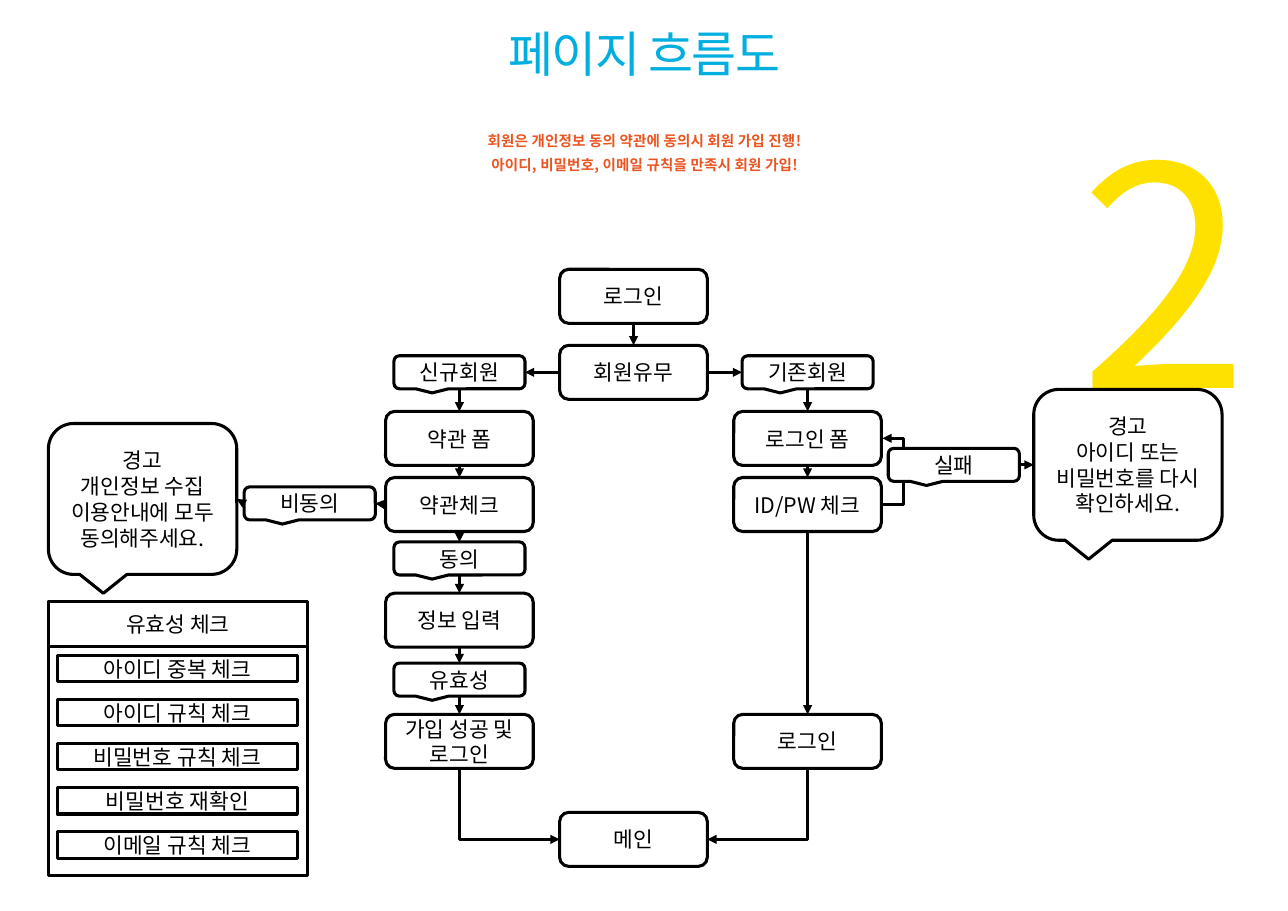
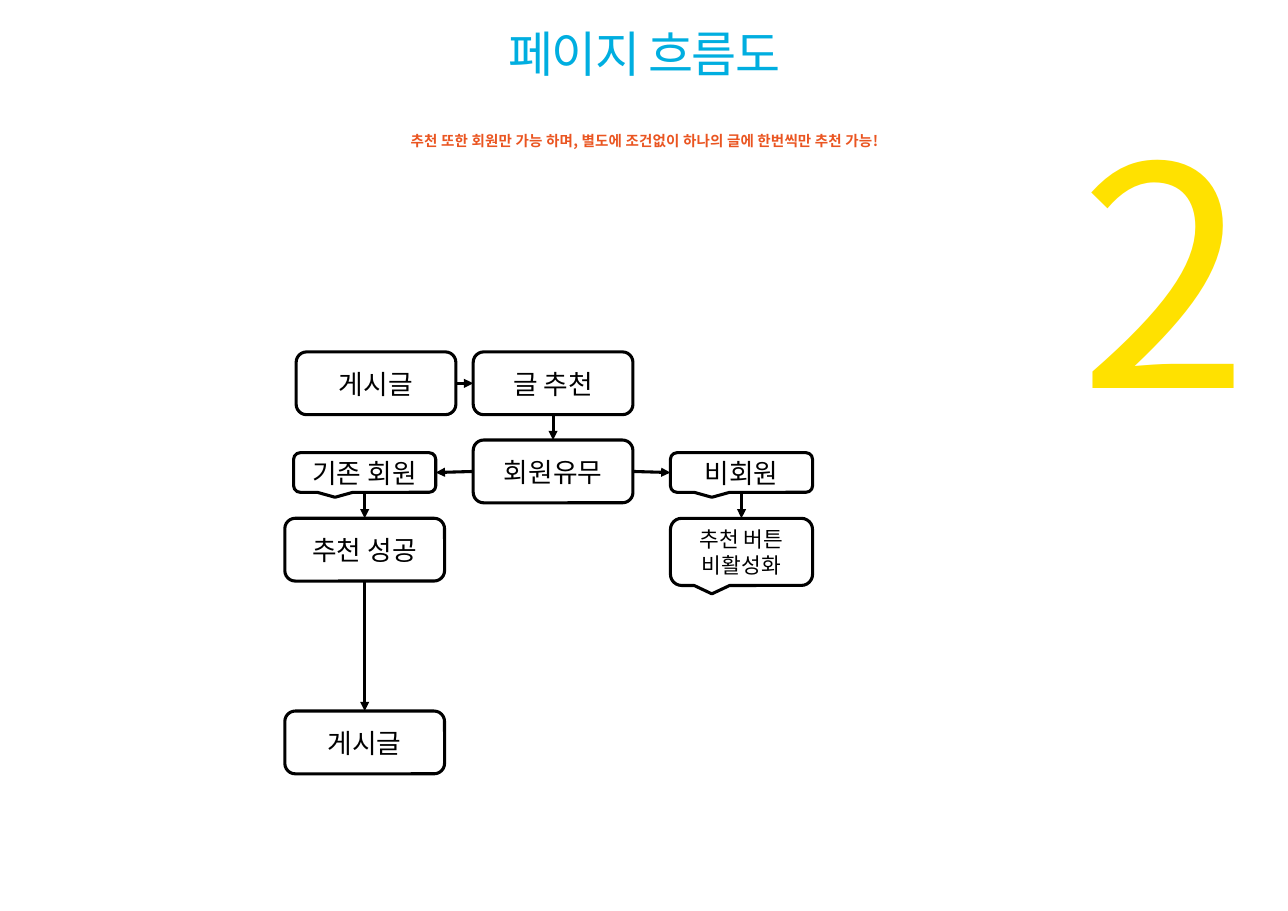
from dataclasses import dataclass
from typing import Optional, Union

from lxml.etree import SubElement
from pptx import Presentation
from pptx.dml.color import RGBColor
from pptx.enum.shapes import MSO_CONNECTOR as Route, MSO_SHAPE as Preset
from pptx.enum.text import MSO_ANCHOR as Anchor, MSO_AUTO_SIZE as AutoSize, PP_ALIGN as Align
from pptx.oxml.ns import qn
from pptx.util import Inches, Pt


@dataclass(frozen=True)
class Theme:
    font: str = "Noto Sans CJK KR"
    blue: str = "00AEE0"
    orange: str = "EA5521"
    yellow: str = "FFE100"
    ink: str = "000000"
    paper: str = "FFFFFF"
    title_size: float = 32
    note_size: float = 9.5
    number_size: float = 200
    step_size: float = 14
    large_step_size: float = 17.5
    line_width: float = 2


@dataclass(frozen=True)
class Box:
    left: float
    top: float
    width: float
    height: float


@dataclass(frozen=True)
class TextStyle:
    size: float
    color: str
    bold: bool = False
    tracking: int = 0


@dataclass(frozen=True)
class Heading:
    box: Box
    style: TextStyle
    leading: float
    align: Align


@dataclass(frozen=True)
class Kind:
    preset: Preset
    width: float
    height: float
    size: float


@dataclass(frozen=True)
class Step:
    key: str
    kind: Kind
    column: float
    row: float
    text: str


@dataclass(frozen=True)
class Link:
    start: str
    start_side: int
    end: str
    end_side: int
    bend: Optional[float] = None
    end_shift: float = 0


@dataclass(frozen=True)
class Flow:
    center: float
    top: float
    column_width: float
    sequence: tuple[Union[Step, Link], ...]
    row_height: float = 0.1


THEME = Theme()
SLIDE_WIDTH, SLIDE_HEIGHT = 11.69, 8.27
TOP, LEFT, BOTTOM, RIGHT = range(4)
TITLE = Heading(Box(2.21, 0.33, 7.28, 0.82),
                TextStyle(THEME.title_size, THEME.blue, tracking=-100), 30, Align.CENTER)
NOTE = Heading(Box(2.21, 1.16, 7.28, 0.79),
               TextStyle(THEME.note_size, THEME.orange, True, 10), 14, Align.CENTER)
NUMBER = Heading(Box(9.8, 1.3, 1.46, 2.76),
                 TextStyle(THEME.number_size, THEME.yellow, tracking=-100), 200, Align.LEFT)

PAGE = Kind(Preset.ROUNDED_RECTANGLE, 1.34, 0.49, THEME.step_size)
CASE = Kind(Preset.ROUNDED_RECTANGULAR_CALLOUT, 1.19, 0.3, THEME.step_size)
WARNING = Kind(Preset.ROUNDED_RECTANGULAR_CALLOUT, 1.71, 1.37, THEME.step_size)
LARGE_PAGE = Kind(Preset.ROUNDED_RECTANGLE, 1.45, 0.57, THEME.large_step_size)
LARGE_CASE = Kind(Preset.ROUNDED_RECTANGULAR_CALLOUT, 1.29, 0.36, THEME.large_step_size)
RESULT = Kind(Preset.ROUNDED_RECTANGULAR_CALLOUT, 1.29, 0.61, THEME.step_size)


def down(*keys: str) -> tuple[Link, ...]:
    return tuple(Link(a, BOTTOM, b, TOP) for a, b in zip(keys, keys[1:]))


LOGIN_FLOW = Flow(5.75, 2.69, 1.58, (
    Step("login", PAGE, 0, 0, "로그인"),
    Step("member", PAGE, 0, 6.9, "회원유무"),
    Step("new", CASE, -1, 6.9, "신규회원"),
    Step("existing", CASE, 1, 6.9, "기존회원"),
    Step("terms", PAGE, -1, 12.9, "약관 폼"),
    Step("terms_check", PAGE, -1, 18.9, "약관체크"),
    Step("agree", CASE, -1, 23.8, "동의"),
    Step("details", PAGE, -1, 29.4, "정보 입력"),
    Step("valid", CASE, -1, 34.8, "유효성"),
    Step("joined", PAGE, -1, 40.4, "가입 성공 및 로그인"),
    Step("form", PAGE, 1, 12.9, "로그인 폼"),
    Step("id_check", PAGE, 1, 18.9, "ID/PW 체크"),
    Step("logged_in", PAGE, 1, 40.4, "로그인"),
    Step("main", PAGE, 0, 49.3, "메인"),
    Step("refuse", CASE, -1.86, 18.8, "비동의"),
    Step("terms_warning", WARNING, -2.82, 18.4, "경고\n개인정보 수집 이용안내에 모두 동의해주세요."),
    Step("id_warning", WARNING, 2.84, 15.3, "경고\n아이디 또는 비밀번호를 다시 확인하세요."),
    *down("login", "member"),
    *down("new", "terms", "terms_check", "agree", "details", "valid", "joined"),
    *down("existing", "form", "id_check", "logged_in"),
    Link("member", LEFT, "new", RIGHT),
    Link("member", RIGHT, "existing", LEFT),
    Link("terms_check", LEFT, "refuse", RIGHT),
    Link("refuse", LEFT, "terms_warning", RIGHT),
    Link("joined", BOTTOM, "main", LEFT, 0),
    Link("logged_in", BOTTOM, "main", RIGHT, 0),
    Link("id_check", RIGHT, "form", RIGHT, 20, 0.01),
    Step("fail", CASE, 1.84, 15.3, "실패"),
    Link("fail", RIGHT, "id_warning", LEFT),
))

VOTE_FLOW = Flow(5.02, 3.48, 1.71, (
    Step("post", LARGE_PAGE, -0.94, 0, "게시글"),
    Step("vote", LARGE_PAGE, 0, 0, "글 추천"),
    Step("member", LARGE_PAGE, 0, 8, "회원유무"),
    Step("existing", LARGE_CASE, -1, 8.1, "기존 회원"),
    Step("guest", LARGE_CASE, 1, 8.1, "비회원"),
    Step("voted", LARGE_PAGE, -1, 15.1, "추천 성공"),
    Step("disabled", RESULT, 1, 15.3, "추천 버튼 비활성화"),
    Step("back", LARGE_PAGE, -1, 32.6, "게시글"),
    Link("post", RIGHT, "vote", LEFT),
    *down("vote", "member"),
    Link("member", LEFT, "existing", RIGHT),
    Link("member", RIGHT, "guest", LEFT),
    *down("existing", "voted", "back"),
    *down("guest", "disabled"),
))

CHECKS = ("아이디 중복 체크", "아이디 규칙 체크", "비밀번호 규칙 체크", "비밀번호 재확인", "이메일 규칙 체크")


def place(target, box: Box) -> None:
    target.left, target.top = Inches(box.left), Inches(box.top)
    target.width, target.height = Inches(box.width), Inches(box.height)


def style_runs(paragraph, style: TextStyle) -> None:
    for run in paragraph.runs:
        run.font.name = THEME.font
        run.font.size = Pt(style.size)
        run.font.bold = style.bold
        run.font.color.rgb = RGBColor.from_string(style.color)
        properties = run._r.get_or_add_rPr()
        properties.set("spc", str(style.tracking))
        SubElement(properties, qn("a:ea")).set("typeface", THEME.font)


def fill_heading(placeholder, heading: Heading, text: str) -> None:
    place(placeholder, heading.box)
    frame = placeholder.text_frame
    frame.text = text
    frame.word_wrap = True
    frame.auto_size = AutoSize.NONE
    frame.vertical_anchor = Anchor.TOP
    frame.margin_left = frame.margin_right = frame.margin_top = frame.margin_bottom = 0
    for paragraph in frame.paragraphs:
        paragraph.alignment = heading.align
        paragraph.line_spacing = Pt(heading.leading)
        paragraph.space_before = Pt(heading.style.size * 0.2)
        properties = paragraph._p.get_or_add_pPr()
        properties.set("marL", "0")
        properties.set("indent", "0")
        SubElement(properties, qn("a:buNone"))
        style_runs(paragraph, heading.style)


def draw_box(slide, preset: Preset, box: Box, text: str = "", size: float = THEME.step_size):
    shape = slide.shapes.add_shape(preset, 0, 0, 0, 0)
    place(shape, box)
    shape.shadow.inherit = False
    shape.fill.solid()
    shape.fill.fore_color.rgb = RGBColor.from_string(THEME.paper)
    shape.line.color.rgb = RGBColor.from_string(THEME.ink)
    shape.line.width = Pt(THEME.line_width)
    if text:
        frame = shape.text_frame
        frame.text = text
        frame.word_wrap = True
        frame.vertical_anchor = Anchor.MIDDLE
        for paragraph in frame.paragraphs:
            paragraph.alignment = Align.CENTER
            style_runs(paragraph, TextStyle(size, THEME.ink))
    return shape


def draw_step(slide, flow: Flow, step: Step):
    kind = step.kind
    left = flow.center + step.column * flow.column_width - kind.width / 2
    top = flow.top + step.row * flow.row_height - kind.height / 2
    return draw_box(slide, kind.preset, Box(left, top, kind.width, kind.height), step.text, kind.size)


def draw_link(slide, link: Link, steps: dict) -> None:
    route = Route.STRAIGHT if link.bend is None else Route.ELBOW
    arrow = slide.shapes.add_connector(route, 0, 0, 0, 0)
    arrow.begin_connect(steps[link.start], link.start_side)
    arrow.end_connect(steps[link.end], link.end_side)
    arrow.end_x += Inches(link.end_shift)
    arrow.line.color.rgb = RGBColor.from_string(THEME.ink)
    arrow.line.width = Pt(THEME.line_width)
    properties = arrow._element.spPr
    SubElement(properties.find(qn("a:ln")), qn("a:tailEnd")).set("type", "triangle")
    SubElement(properties, qn("a:effectLst"))
    if link.bend is not None:
        geometry = properties.find(qn("a:prstGeom"))
        guides = geometry.find(qn("a:avLst"))
        if guides is None:
            guides = SubElement(geometry, qn("a:avLst"))
        guide = SubElement(guides, qn("a:gd"))
        guide.set("name", "adj1")
        guide.set("fmla", f"val {round(link.bend * 100000)}")


def draw_flow(slide, flow: Flow) -> None:
    steps = {}
    for item in flow.sequence:
        if isinstance(item, Step):
            steps[item.key] = draw_step(slide, flow, item)
        else:
            draw_link(slide, item, steps)


def draw_checklist(slide) -> None:
    panel = Box(0.44, 5.46, 2.35, 2.49)
    draw_box(slide, Preset.RECTANGLE, panel)
    draw_box(slide, Preset.RECTANGLE, Box(panel.left, panel.top, panel.width, 0.41), "유효성 체크")
    for index, check in enumerate(CHECKS):
        row = Box(panel.left + 0.08, panel.top + 0.49 + index * 0.4, 2.18, 0.24)
        draw_box(slide, Preset.RECTANGLE, row, check)


def add_flow_slide(deck, note: str, flow: Flow):
    slide = deck.slides.add_slide(deck.slide_layouts.get_by_name("Two Content"))
    title, notice, number = slide.placeholders
    fill_heading(title, TITLE, "페이지 흐름도")
    fill_heading(notice, NOTE, note)
    fill_heading(number, NUMBER, "2")
    draw_flow(slide, flow)
    return slide


def main() -> None:
    deck = Presentation()
    deck.slide_width, deck.slide_height = Inches(SLIDE_WIDTH), Inches(SLIDE_HEIGHT)
    login = add_flow_slide(
        deck, "회원은 개인정보 동의 약관에 동의시 회원 가입 진행!\n아이디, 비밀번호, 이메일 규칙을 만족시 회원 가입!", LOGIN_FLOW)
    draw_checklist(login)
    add_flow_slide(deck, "추천 또한 회원만 가능 하며, 별도에 조건없이 하나의 글에 한번씩만 추천 가능!", VOTE_FLOW)
    deck.save("out.pptx")


if __name__ == "__main__":
    main()
